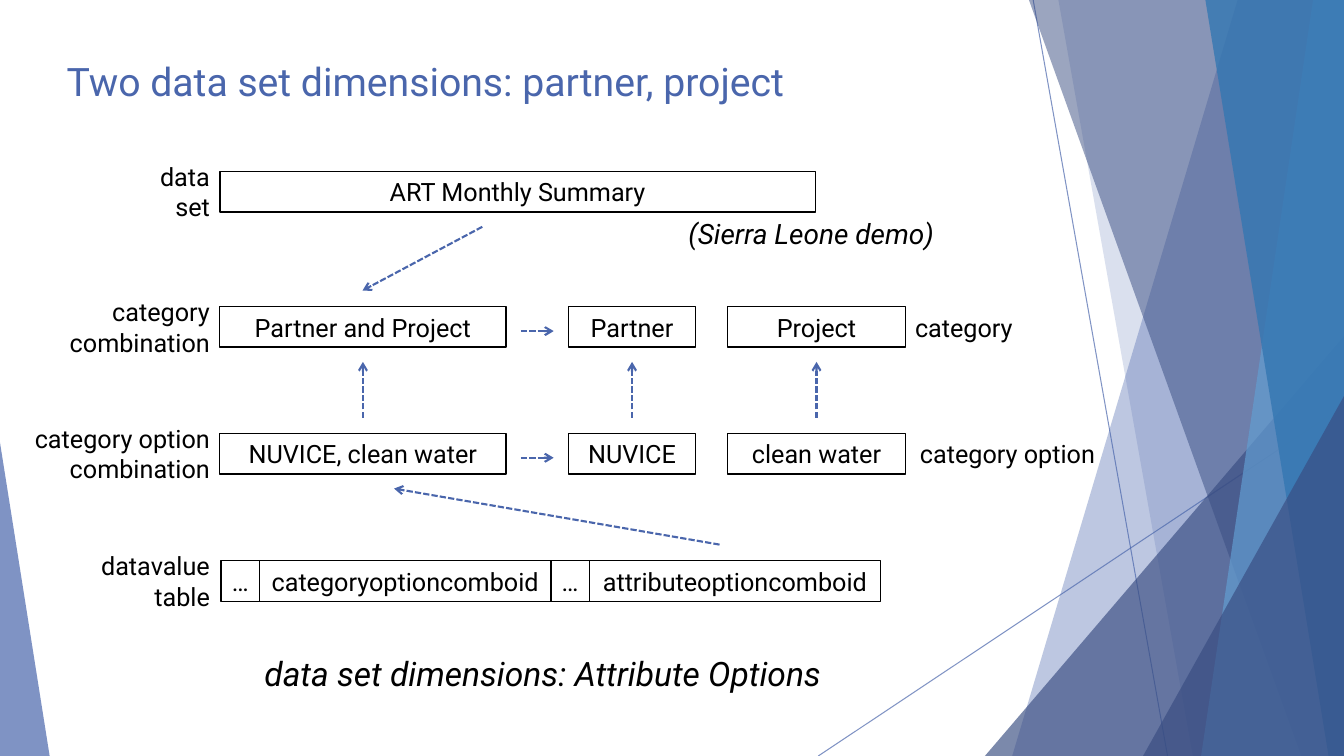
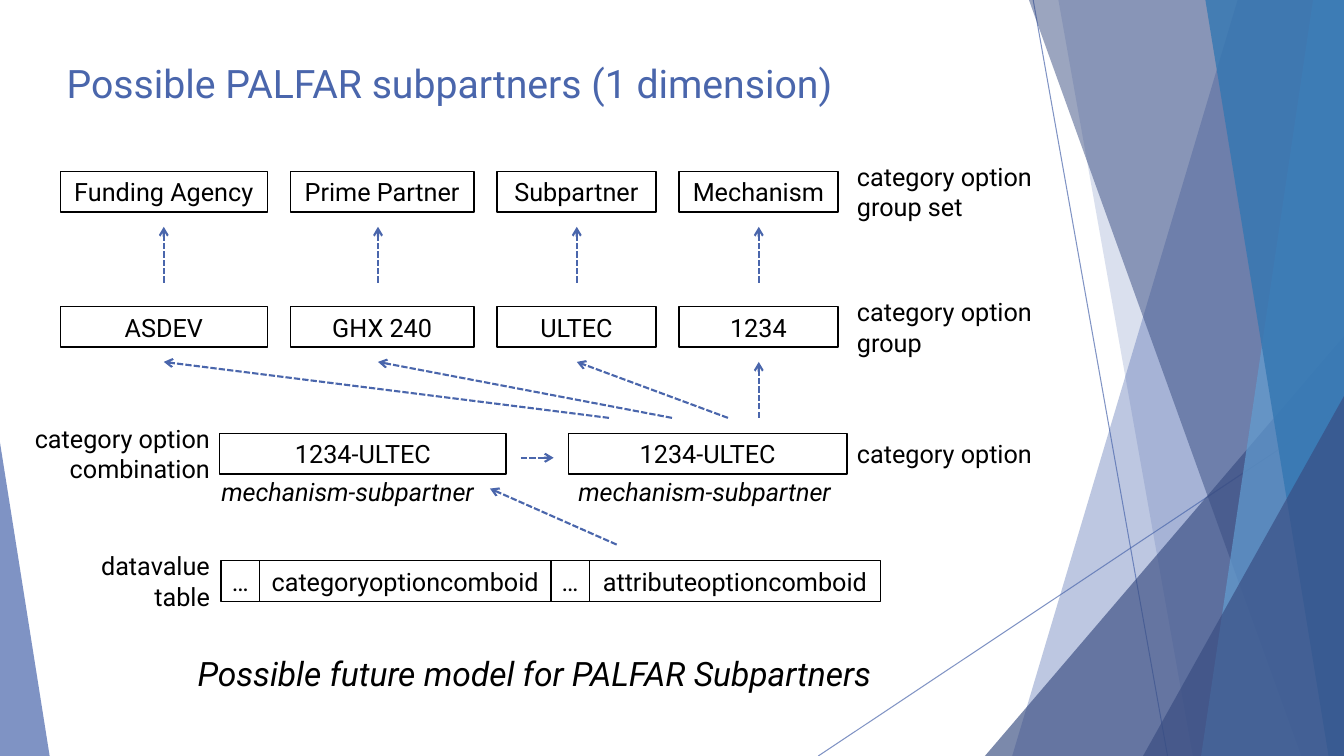
from lxml import etree
from pptx import Presentation
from pptx.dml.color import RGBColor
from pptx.enum.dml import MSO_LINE
from pptx.enum.shapes import MSO_CONNECTOR, MSO_SHAPE
from pptx.enum.text import MSO_ANCHOR, PP_ALIGN
from pptx.oxml.ns import qn
from pptx.util import Pt

BLACK = RGBColor(0x00, 0x00, 0x00)
BLUE = RGBColor(0x4A, 0x66, 0xAC)
NAVY = RGBColor(0x38, 0x4C, 0x81)
SKY = RGBColor(0x62, 0x9D, 0xD1)
OCEAN = RGBColor(0x34, 0x77, 0xB2)
FONT = "Roboto"

SLIDE_W, SLIDE_H = 960, 540
ROW_TOPS = (122.5, 219, 309.5, 400.5)
GROUP_SET_ROW, COMBO_ROW, OPTION_ROW, TABLE_ROW = ROW_TOPS
BOX_H, LABEL_H = 29, 51
COMBO_X, COMBO_W = 157, 204.5
OPTION_X = 406
ARROW_GAP, ARROW_RISE = 10.5, 40


def set_text(shape, text, size=18, color=BLACK, italic=False,
             align=PP_ALIGN.LEFT, anchor=MSO_ANCHOR.TOP, side_inset=7.2):
    """Fill a shape with text; each line becomes a paragraph."""
    frame = shape.text_frame
    frame.word_wrap = True
    frame.vertical_anchor = anchor
    frame.margin_left = frame.margin_right = Pt(side_inset)
    frame.margin_top = frame.margin_bottom = Pt(3.6)
    frame.text = text
    for paragraph in frame.paragraphs:
        paragraph.alignment = align
        font = paragraph.runs[0].font
        font.name, font.size, font.italic = FONT, Pt(size), italic
        font.color.rgb = color


def add_text(slide, text, left, top, width, height, **text_format):
    area = slide.shapes.add_textbox(Pt(left), Pt(top), Pt(width), Pt(height))
    set_text(area, text, **text_format)


def add_box(slide, text, left, row, width):
    box = slide.shapes.add_shape(
        MSO_SHAPE.RECTANGLE, Pt(left), Pt(row), Pt(width), Pt(BOX_H))
    box.shadow.inherit = False
    box.fill.background()
    box.line.color.rgb = BLACK
    box.line.width = Pt(1)
    set_text(box, text, align=PP_ALIGN.CENTER, anchor=MSO_ANCHOR.MIDDLE,
             side_inset=0)


def add_label(slide, text, left, row, width=147.5, align=PP_ALIGN.LEFT):
    """Place a label vertically centred on a row of boxes."""
    add_text(slide, text, left, row + (BOX_H - LABEL_H) / 2, width, LABEL_H,
             align=align, anchor=MSO_ANCHOR.MIDDLE)


def add_row_label(slide, text, row):
    add_label(slide, text, 14, row, COMBO_X - 14, PP_ALIGN.RIGHT)


def set_opacity(properties, percent):
    color = next(properties.iter(qn("a:srgbClr")))
    etree.SubElement(color, qn("a:alpha")).set("val", str(percent * 1000))


def add_line(slide, start, end, width):
    line = slide.shapes.add_connector(
        MSO_CONNECTOR.STRAIGHT, *(Pt(value) for value in (*start, *end)))
    line.line.color.rgb = BLUE
    line.line.width = Pt(width)
    etree.SubElement(line.element.spPr, qn("a:effectLst"))
    return line


def add_arrow(slide, start, end):
    arrow = add_line(slide, start, end, 1.5)
    arrow.line.dash_style = MSO_LINE.SQUARE_DOT
    outline = arrow.element.spPr.find(qn("a:ln"))
    etree.SubElement(outline, qn("a:tailEnd")).set("type", "arrow")


def add_up_arrow(slide, start_x, end_x, row):
    """Point up to just below the given row."""
    end_y = row + BOX_H + ARROW_GAP
    add_arrow(slide, (start_x, end_y + ARROW_RISE), (end_x, end_y))


def add_side_arrow(slide, row):
    """Point from a combination box to the box on its right."""
    add_arrow(slide, (372, row + 17.5), (395.5, row + 17.5))


def paint_facet(facet, color, opacity):
    facet.shadow.inherit = False
    facet.fill.solid()
    facet.fill.fore_color.rgb = color
    facet.line.fill.background()
    set_opacity(facet.element.spPr, opacity)


def add_side_facet(slide, top_x, bottom_x, color, opacity):
    """Fill from a slanted left edge to the right edge of the slide."""
    outline = slide.shapes.build_freeform(Pt(top_x), 0)
    corners = [(SLIDE_W, 0), (SLIDE_W, SLIDE_H), (bottom_x, SLIDE_H)]
    outline.add_line_segments([(Pt(x), Pt(y)) for x, y in corners])
    paint_facet(outline.convert_to_shape(), color, opacity)


def add_corner_facet(slide, left, top, width, color, opacity, apex):
    """Fill a triangle that stands on the bottom edge of the slide."""
    facet = slide.shapes.add_shape(
        MSO_SHAPE.ISOSCELES_TRIANGLE,
        Pt(left), Pt(top), Pt(width), Pt(SLIDE_H - top))
    facet.adjustments[0] = apex
    paint_facet(facet, color, opacity)


def add_backdrop(slide):
    for start, end in (((738, 0), (834, SLIDE_H)),
                       ((SLIDE_W, 290), (584.5, SLIDE_H))):
        ray = add_line(slide, start, end, 0.75)
        set_opacity(ray.element.spPr, 70)
    add_side_facet(slide, 884, 723, BLUE, 36)
    add_side_facet(slide, 756, 852, BLUE, 20)
    add_corner_facet(slide, 703.5, 240, 256.5, NAVY, 66, apex=1)
    add_side_facet(slide, 735, 929.5, NAVY, 50)
    add_side_facet(slide, 938, 858, SKY, 70)
    add_side_facet(slide, 861, 949, OCEAN, 80)
    add_corner_facet(slide, 816.5, 283, 143.5, NAVY, 66, apex=1)
    add_corner_facet(slide, 0, 316, 35.5, BLUE, 70, apex=0)


def add_datavalue_table(slide):
    add_row_label(slide, "datavalue\ntable", TABLE_ROW)
    left = 158
    for field, width in (("…", 27.5), ("categoryoptioncomboid", 208),
                         ("…", 27.5), ("attributeoptioncomboid", 208)):
        add_box(slide, field, left, TABLE_ROW, width)
        left += width


def start_slide(prs, title, title_top, caption, caption_left):
    """Add a slide with the parts that every slide shares."""
    slide = prs.slides.add_slide(prs.slide_layouts[6])
    add_backdrop(slide)
    add_text(slide, title, 40.5, title_top, 683, 57, size=28, color=BLUE)
    add_text(slide, caption, caption_left, 463, 654.5, 57, size=24,
             italic=True, align=PP_ALIGN.CENTER)
    add_row_label(slide, "category option\ncombination", OPTION_ROW)
    add_side_arrow(slide, OPTION_ROW)
    add_datavalue_table(slide)
    return slide


def build_two_dimensions(prs):
    slide = start_slide(prs, "Two data set dimensions: partner, project", 37.5,
                        "data set dimensions: Attribute Options", 60.5)
    add_row_label(slide, "data\nset", GROUP_SET_ROW)
    add_box(slide, "ART Monthly Summary", COMBO_X, GROUP_SET_ROW, 425.5)
    add_text(slide, "(Sierra Leone demo)", 389.5, 151, 380, 39.5, size=20,
             italic=True, align=PP_ALIGN.CENTER)
    add_arrow(slide, (344.5, 162), (259, 207.5))

    add_row_label(slide, "category\ncombination", COMBO_ROW)
    add_side_arrow(slide, COMBO_ROW)
    for category, option, left, width in (
            ("Partner and Project", "NUVICE, clean water", COMBO_X, COMBO_W),
            ("Partner", "NUVICE", OPTION_X, 91),
            ("Project", "clean water", 519.5, 127.5)):
        add_box(slide, category, left, COMBO_ROW, width)
        add_box(slide, option, left, OPTION_ROW, width)
        center = left + width / 2
        add_up_arrow(slide, center, center, COMBO_ROW)
    add_label(slide, "category", 646.5, COMBO_ROW)
    add_label(slide, "category option", 650, OPTION_ROW)
    add_up_arrow(slide, 514, 281.5, OPTION_ROW)


def build_subpartners(prs):
    slide = start_slide(prs, "Possible PALFAR subpartners (1 dimension)", 39,
                        "Possible future model for PALFAR Subpartners", 54.5)
    left, gap = 43, 16.5
    for group_set, group, width, arrow_x, option_x in (
            ("Funding Agency", "ASDEV", 148, 117, 435),
            ("Prime Partner", "GHX 240", 131, 270, 480),
            ("Subpartner", "ULTEC", 113.5, 412, 520),
            ("Mechanism", "1234", 113.5, 542, 542)):
        add_box(slide, group_set, left, GROUP_SET_ROW, width)
        add_box(slide, group, left, COMBO_ROW, width)
        add_up_arrow(slide, arrow_x, arrow_x, GROUP_SET_ROW)
        add_up_arrow(slide, option_x, arrow_x, COMBO_ROW)
        left += width + gap

    for box_left, width, note_left in ((COMBO_X, COMBO_W, 151),
                                       (OPTION_X, 199, OPTION_X)):
        add_box(slide, "1234-ULTEC", box_left, OPTION_ROW, width)
        add_text(slide, "mechanism-subpartner", note_left, 337, 209.5, BOX_H,
                 italic=True)
    for text, row in (("category option group set", GROUP_SET_ROW),
                      ("category option group", COMBO_ROW),
                      ("category option", OPTION_ROW)):
        add_label(slide, text, 605, row)
    add_up_arrow(slide, 440.5, 350, OPTION_ROW)


def main():
    prs = Presentation()
    prs.slide_width, prs.slide_height = Pt(SLIDE_W), Pt(SLIDE_H)
    build_two_dimensions(prs)
    build_subpartners(prs)
    prs.save("out.pptx")


if __name__ == "__main__":
    main()
